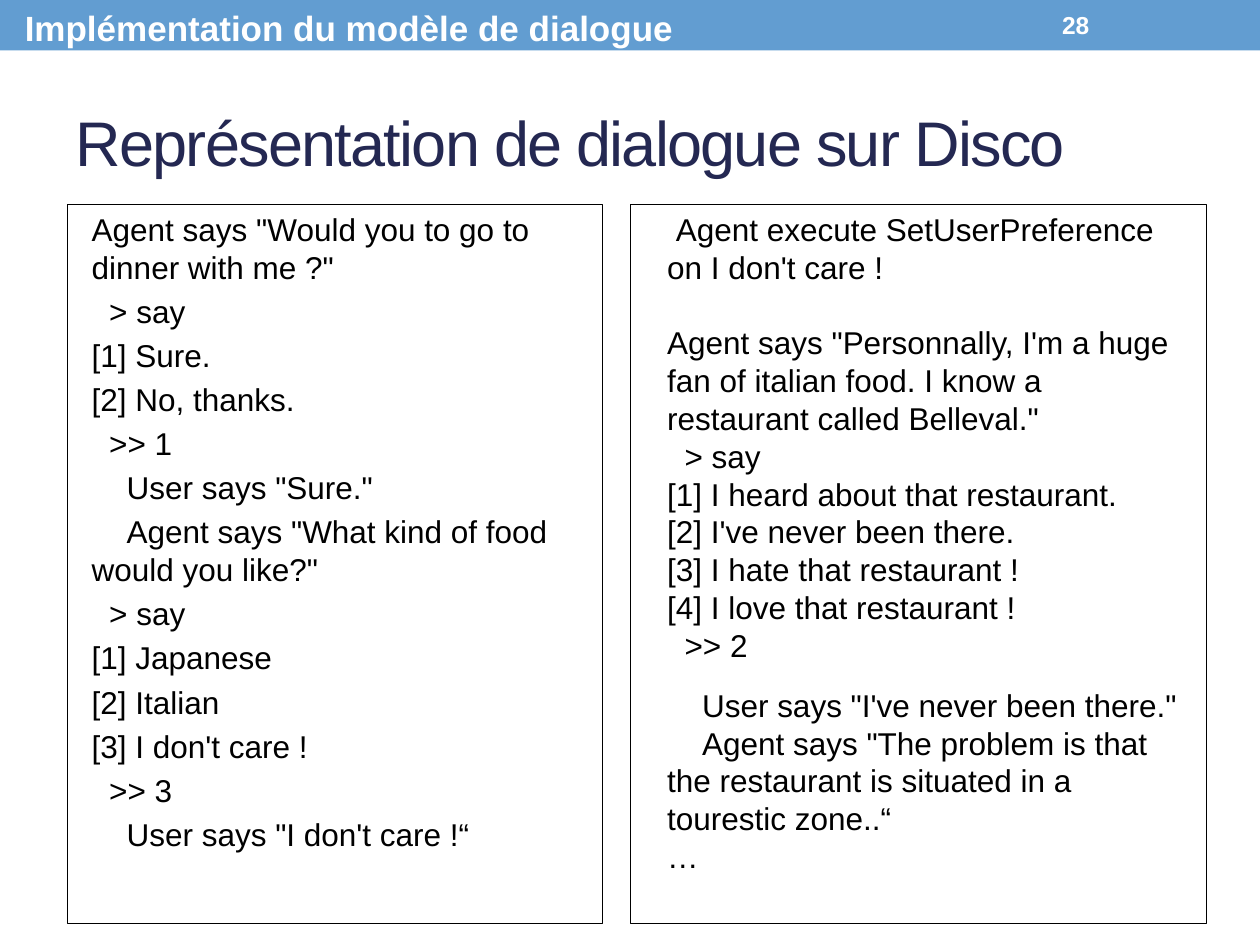
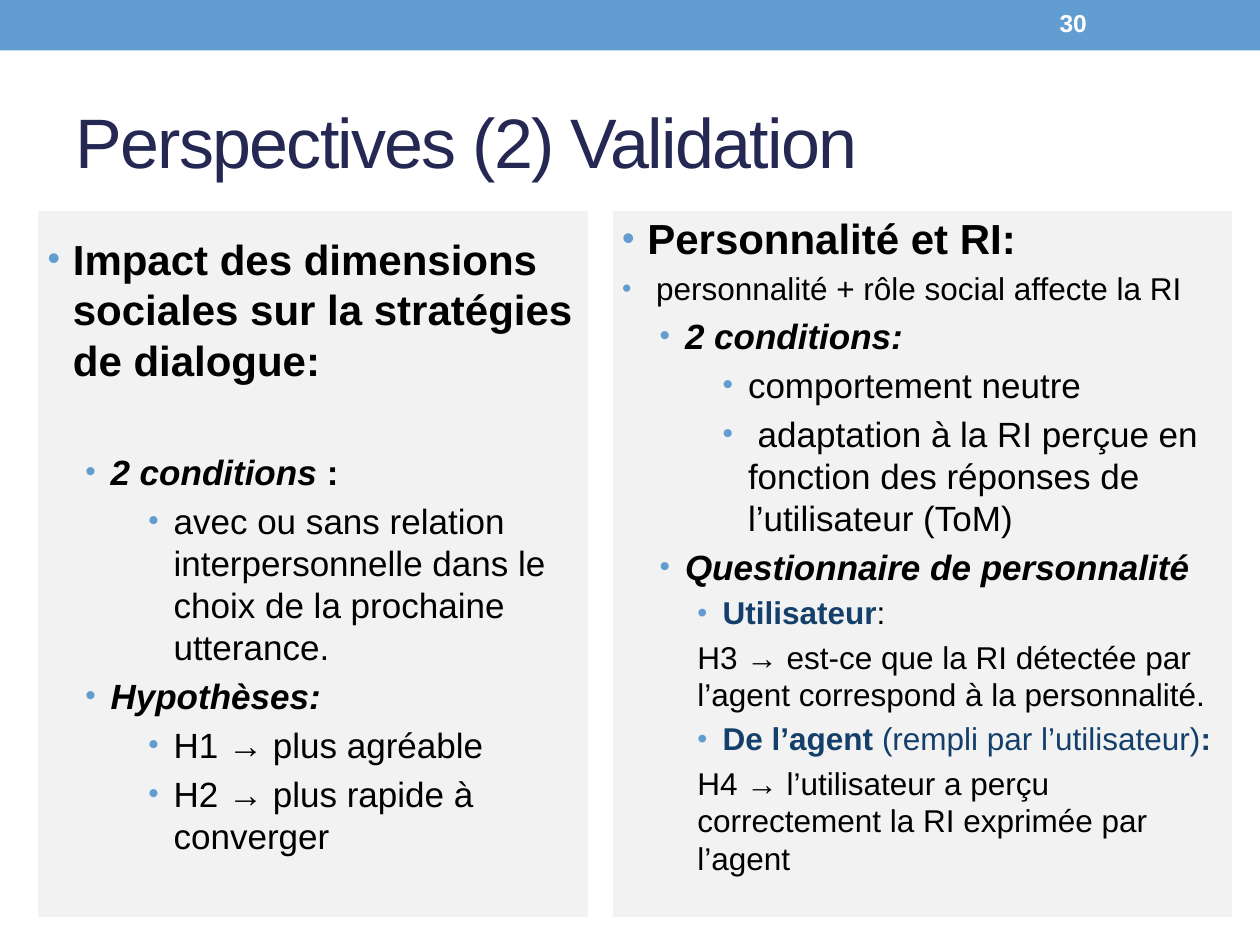
import lxml.etree
import pptx
import pptx.dml.color
import pptx.enum.shapes
import pptx.enum.text
import pptx.oxml.ns
import pptx.util

Cm, Pt = pptx.util.Cm, pptx.util.Pt
ANCHOR = pptx.enum.text.MSO_ANCHOR
RECTANGLE = pptx.enum.shapes.MSO_SHAPE.RECTANGLE
COLORS = {
    name: pptx.dml.color.RGBColor.from_string(value)
    for name, value in {
        "band": "629DD1", "title": "242852", "text": "000000",
        "accent": "143F6A", "panel": "F2F2F2", "white": "FFFFFF",
    }.items()
}
BOLD, ITALIC = {"bold": True}, {"italic": True}
BOLD_ITALIC = BOLD | ITALIC
ACCENT = {"color": "accent"}


def add_runs(paragraph, runs, size, color="text"):
    """Append (text, format) runs; a format may override the colour."""
    for text, changes in runs:
        run = paragraph.add_run()
        run.text = text
        look = {"name": "Arial", "size": Pt(size), "bold": False, "italic": False, "color": color} | changes
        run.font.color.rgb = COLORS[look.pop("color")]
        for attribute, value in look.items():
            setattr(run.font, attribute, value)


def format_paragraph(paragraph, left, first, before=0, bullet_size=None):
    """Set indents in cm, space before in points and the bullet size in percent."""
    paragraph.alignment = pptx.enum.text.PP_ALIGN.LEFT
    paragraph.space_before = Pt(before)
    properties = paragraph._p.get_or_add_pPr()
    properties.set("marL", str(Cm(left)))
    properties.set("indent", str(Cm(first)))
    if bullet_size:
        qn = pptx.oxml.ns.qn
        bullet_color = lxml.etree.SubElement(properties, qn("a:buClr"))
        lxml.etree.SubElement(bullet_color, qn("a:srgbClr"), val=str(COLORS["band"]))
        lxml.etree.SubElement(properties, qn("a:buSzPct"), val=str(bullet_size * 1000))
        lxml.etree.SubElement(properties, qn("a:buFont"), typeface="Arial")
        lxml.etree.SubElement(properties, qn("a:buChar"), char="•")


presentation = pptx.Presentation()
presentation.slide_width, presentation.slide_height = Cm(25.4), Cm(19.05)

# Shared header: band, title and page number
pages = [
    ("Représentation de dialogue sur Disco", 36, "28", (21.16, 0.05)),
    ("Perspectives (2) Validation", 40, "30", (21.11, 0)),
]
slides = []
for heading, heading_size, number, (number_left, number_top) in pages:
    slide = presentation.slides.add_slide(presentation.slide_layouts[5])
    slides.append(slide)

    band = slide.shapes.add_shape(RECTANGLE, 0, 0, Cm(25.4), Cm(1.02))
    band.shadow.inherit = False
    band.fill.solid()
    band.fill.fore_color.rgb = COLORS["band"]
    band.line.fill.background()

    title = slide.shapes.title
    title.left, title.top, title.width, title.height = Cm(1.27), Cm(1.47), Cm(22.86), Cm(2.74)
    title.text_frame.vertical_anchor = ANCHOR.MIDDLE
    title_line = title.text_frame.paragraphs[0]
    title_line.alignment = pptx.enum.text.PP_ALIGN.LEFT
    add_runs(title_line, [(heading, {})], heading_size, "title")
    title_line.runs[0].font._element.set("spc", "-100")

    page_number = slide.shapes.add_textbox(Cm(number_left), Cm(number_top), Cm(2.97), Cm(0.91))
    page_number.text_frame.word_wrap = True
    page_number.text_frame.vertical_anchor = ANCHOR.MIDDLE
    add_runs(page_number.text_frame.paragraphs[0], [(number, BOLD)], 14, "white")

dialogue_slide, validation_slide = slides

# Dialogue transcript: (first-line indent in spaces, extra space before, text)
SPACE_WIDTH = 0.176
opening = [
    (0, 0, 'Agent says "Would you to go to dinner with me ?"'),
    (2, 0, "> say"),
    (0, 0, "[1] Sure."),
    (0, 0, "[2] No, thanks."),
    (2, 0, ">> 1"),
    (4, 0, 'User says "Sure."'),
    (4, 0, 'Agent says "What kind of food would you like?"'),
    (2, 0, "> say"),
    (0, 0, "[1] Japanese"),
    (0, 0, "[2] Italian"),
    (0, 0, "[3] I don't care !"),
    (2, 0, ">> 3"),
    (4, 0, 'User says "I don\'t care !“'),
]
follow_up = [
    (1, 0, "Agent execute SetUserPreference on I don't care !"),
    (0, 21.6, 'Agent says "Personnally, I\'m a huge fan of italian food. '
              'I know a restaurant called Belleval."'),
    (2, 0, "> say"),
    (0, 0, "[1] I heard about that restaurant."),
    (0, 0, "[2] I've never been there."),
    (0, 0, "[3] I hate that restaurant !"),
    (0, 0, "[4] I love that restaurant !"),
    (2, 0, ">> 2"),
    (4, 12.6, 'User says "I\'ve never been there."'),
    (4, 0, 'Agent says "The problem is that the restaurant is situated in a tourestic zone..“'),
    (0, 0, "…"),
]
for text_left, text_width, frame_left, frame_width, line_gap, lines in [
    (1.3, 11, 1.35, 10.8, 3.6, opening),
    (12.9, 11.2, 12.7, 11.61, 0, follow_up),
]:
    transcript = dialogue_slide.shapes.add_textbox(Cm(text_left), Cm(4.11), Cm(text_width), Cm(14.5))
    transcript.text_frame.word_wrap = True
    for index, (spaces, extra, text) in enumerate(lines):
        paragraph = transcript.text_frame.add_paragraph() if index else transcript.text_frame.paragraphs[0]
        format_paragraph(paragraph, 0.3, spaces * SPACE_WIDTH, line_gap + extra if index else 0)
        add_runs(paragraph, [(text, {})], 18)

    frame = dialogue_slide.shapes.add_shape(RECTANGLE, Cm(frame_left), Cm(4.11), Cm(frame_width), Cm(14.5))
    frame.shadow.inherit = False
    frame.fill.background()
    frame.line.color.rgb = COLORS["text"]
    frame.line.width = Pt(0.25)

section = dialogue_slide.shapes.add_textbox(0, 0, Cm(13.7), Cm(1.12))
section.left = Cm(0.25)
section.text_frame.word_wrap = False
add_runs(section.text_frame.paragraphs[0], [("Implémentation du modèle de dialogue", BOLD)], 20, "white")

# Validation panels: outline styles are (level, left, first line, size, bullet size)
OUTLINE = {
    "theme": (0, 0.51, -0.51, 24, 85),
    "remark": (0, 0.51, -0.51, 18, 85),
    "topic": (1, 1.27, -0.51, 20, 85),
    "point": (2, 2.54, -0.51, 20, 85),
    "respondent": (2, 2.03, -0.51, 18, 90),
    "hypothesis": (2, 1.52, 0, 18, None),
}
impact = [
    ("theme", 0, [("Impact des dimensions sociales sur la stratégies de dialogue:", BOLD)]),
    ("topic", 33.6, [("2 conditions ", BOLD_ITALIC), (":", BOLD)]),
    ("point", 0, [("avec ou sans relation interpersonnelle dans le choix de la prochaine utterance.", {})]),
    ("topic", 0, [("Hypothèses:", BOLD_ITALIC)]),
    ("point", 0, [("H1 → plus agréable", {})]),
    ("point", 0, [("H2 → plus rapide à converger", {})]),
]
personality = [
    ("theme", 0, [("Personnalité et RI:", BOLD)]),
    ("remark", 0, [(" personnalité + rôle social affecte la RI", {})]),
    ("topic", 0, [("2 conditions:", BOLD_ITALIC)]),
    ("point", 0, [("comportement neutre", {})]),
    ("point", 0, [(" adaptation à la RI perçue en fonction des réponses de l’utilisateur (ToM)", {})]),
    ("topic", 0, [("Questionnaire de personnalité", BOLD_ITALIC)]),
    ("respondent", 0, [("Utilisateur", BOLD | ACCENT), (":", {})]),
    ("hypothesis", 0, [("H3 → est-ce que la RI détectée par l’agent correspond à la personnalité.", {})]),
    ("respondent", 0, [("De l’agent ", BOLD | ACCENT), ("(rempli par l’utilisateur)", ACCENT),
                       (":", BOLD | ACCENT)]),
    ("hypothesis", 0, [("H4 → l’utilisateur a perçu correctement la RI exprimée par l’agent", {})]),
]
for panel_left, panel_width, items in [(0.71, 11.2, impact), (12.29, 12.6, personality)]:
    panel = validation_slide.shapes.add_shape(RECTANGLE, Cm(panel_left), Cm(4.19), Cm(panel_width), Cm(14.35))
    panel.shadow.inherit = False
    panel.fill.solid()
    panel.fill.fore_color.rgb = COLORS["panel"]
    panel.line.color.rgb = COLORS["white"]
    panel.line.width = Pt(3.5)
    panel_text = panel.text_frame
    panel_text.word_wrap = True
    panel_text.vertical_anchor = ANCHOR.MIDDLE
    panel_text.margin_bottom = Cm(0.89)
    for index, (style, extra, runs) in enumerate(items):
        level, left, first, size, bullet_size = OUTLINE[style]
        paragraph = panel_text.add_paragraph() if index else panel_text.paragraphs[0]
        paragraph.level = level
        format_paragraph(paragraph, left, first, 0.2 * size + extra if index else 0, bullet_size)
        add_runs(paragraph, runs, size)

presentation.save("out.pptx")
